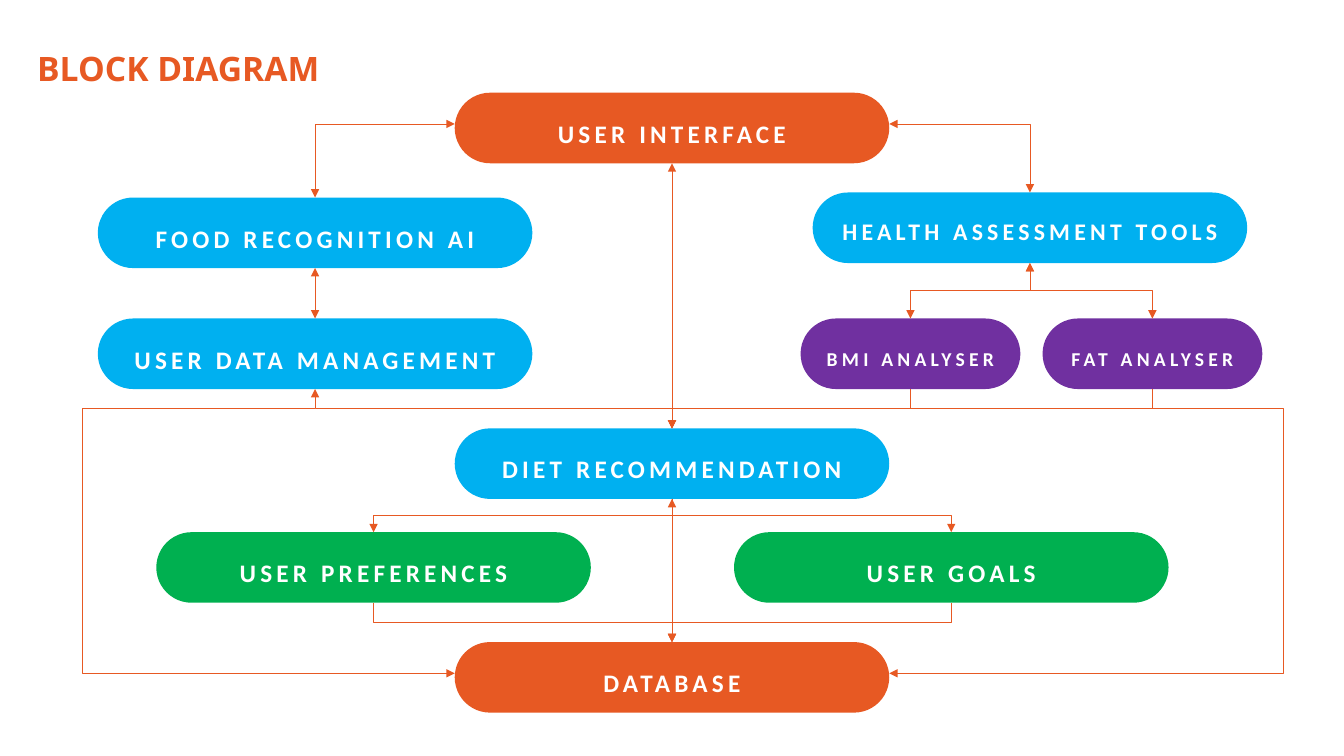
from pptx import Presentation
from pptx import util as u
from pptx.dml.color import RGBColor
from pptx.enum import shapes, text
from pptx.oxml import parse_xml
from pptx.oxml.ns import nsdecls, qn

ORANGE, BLUE, PURPLE, GREEN, WHITE = "E75923", "00B0F0", "7030A0", "00B050", "FFFFFF"
PILL_W, ANALYSER_W, PILL_H = 431, 218, 70
BUS_Y, BUS_LEFT, BUS_RIGHT = 405, 82, 1273
TOP, BOTTOM = 0, 2


def px(n):
    """Turn a length of 1/100 inch into EMU."""
    return u.Emu(round(n * 9144))


def rgb(value):
    """Turn a hex string into a colour."""
    return RGBColor.from_string(value)


def write(tf, words, font, size, colour):
    """Write one bold line and return its paragraph and run."""
    p = tf.paragraphs[0]
    r = p.add_run()
    r.text = words
    p.font.name, p.font.size, p.font.bold = font, u.Pt(size), True
    p.font.color.rgb = rgb(colour)
    return p, r


def add_title(s, x, y, w, h):
    """Place the slide heading."""
    tf = s.shapes.add_textbox(px(x), px(y), px(w), px(h)).text_frame
    tf.word_wrap = True
    write(tf, "BLOCK DIAGRAM", "Noto Sans", 24, ORANGE)


def add_pill(s, words, x, y, colour, w=PILL_W, size=18, drop=0):
    """Place a rounded block with a spaced label."""
    sp = s.shapes.add_shape(shapes.MSO_SHAPE.ROUNDED_RECTANGLE, px(x), px(y), px(w), px(PILL_H))
    sp.adjustments[0] = 0.5
    sp.shadow.inherit = False
    sp.fill.solid()
    sp.fill.fore_color.rgb = rgb(colour)
    sp.line.fill.background()
    tf = sp.text_frame
    tf.word_wrap = True
    tf.vertical_anchor = text.MSO_ANCHOR.TOP
    tf.margin_left = tf.margin_right = tf.margin_bottom = 0
    tf.margin_top = px(drop)
    p, r = write(tf, words, "Calibri", size, WHITE)
    p.alignment, p.line_spacing = text.PP_ALIGN.CENTER, 1.5
    r._r.get_or_add_rPr().set("spc", "300")
    return sp


def middle(sp, side):
    """Give the middle of the top or bottom side in px."""
    y = sp.top if side == TOP else sp.top + sp.height
    return (sp.left + sp.width / 2) / px(1), y / px(1)


def add_line(s, kind, a, b, both):
    """Draw a thin connector with an arrowhead at its end or at both ends."""
    c = s.shapes.add_connector(kind, px(a[0]), px(a[1]), px(b[0]), px(b[1]))
    c.line.color.rgb, c.line.width = rgb(ORANGE), u.Pt(0.5)
    for end in ("headEnd", "tailEnd") if both else ("tailEnd",):
        c.line._get_or_add_ln().append(parse_xml(f'<a:{end} {nsdecls("a")} type="triangle"/>'))
    c._element.spPr.append(parse_xml(f'<a:effectLst {nsdecls("a")}/>'))
    return c


def add_straight(s, upper, lower):
    """Join the bottom of one block to the top of another."""
    c = add_line(s, shapes.MSO_CONNECTOR.STRAIGHT, middle(upper, BOTTOM), middle(lower, TOP), True)
    c.begin_connect(upper, BOTTOM)
    c.end_connect(lower, TOP)


def add_corner(s, a, b):
    """Draw a two-headed arrow that runs across, then down."""
    c = add_line(s, shapes.MSO_CONNECTOR.ELBOW, a, b, True)
    c._element.spPr.find(qn("a:prstGeom")).set("prst", "bentConnector2")


def add_step(s, a, b, both=False):
    """Draw an arrow that runs down, across and down again."""
    (x1, y1), (x2, y2) = a, b
    cx, cy, half_w, half_h = (x1 + x2) / 2, (y1 + y2) / 2, (y2 - y1) / 2, (x1 - x2) / 2
    start, stop = (cx - half_w, cy - half_h), (cx + half_w, cy + half_h)
    c = add_line(s, shapes.MSO_CONNECTOR.ELBOW, start, stop, both)
    c._element.spPr.find(qn("a:xfrm")).set("rot", "5400000")


def add_loop(s, a, b, turn_x):
    """Draw an arrow that runs out to turn_x, down and back."""
    c = add_line(s, shapes.MSO_CONNECTOR.ELBOW, a, b, False)
    share = round((turn_x - a[0]) / (b[0] - a[0]) * 100000)
    guides = c._element.spPr.find(qn("a:prstGeom")).get_or_add_avLst()
    guides.append(parse_xml(f'<a:gd {nsdecls("a")} name="adj1" fmla="val {share}"/>'))


def add_diagram(s, x, y):
    """Place the blocks and their arrows from the given corner."""
    centre = x + 354
    ui = add_pill(s, "USER INTERFACE", centre, y, ORANGE)
    food = add_pill(s, "FOOD RECOGNITION AI", x, y + 104, BLUE)
    health = add_pill(s, "HEALTH ASSESSMENT TOOLS", x + 709, y + 99, BLUE, size=17)
    data = add_pill(s, "USER DATA MANAGEMENT", x, y + 224, BLUE)
    bmi, fat = [add_pill(s, f"{name} ANALYSER", x + 697 + 240 * i, y + 224, PURPLE, ANALYSER_W, 14, 6)
                for i, name in enumerate(("BMI", "FAT"))]
    diet = add_pill(s, "DIET RECOMMENDATION", centre, y + 333, BLUE)
    inputs = [add_pill(s, f"USER {name}", x + 58 + 573 * i, y + 436, GREEN)
              for i, name in enumerate(("PREFERENCES", "GOALS"))]
    database = add_pill(s, "DATABASE", centre, y + 545, ORANGE)

    for upper, lower in ((food, data), (ui, diet), (diet, database)):
        add_straight(s, upper, lower)
    add_corner(s, (centre, y + 31), middle(food, TOP))
    add_corner(s, (centre + PILL_W, y + 31), middle(health, TOP))
    for analyser in (bmi, fat):
        add_step(s, middle(health, BOTTOM), middle(analyser, TOP), True)
        add_step(s, middle(analyser, BOTTOM), middle(diet, TOP))
    add_step(s, middle(data, BOTTOM), middle(diet, TOP), True)
    for block in inputs:
        add_step(s, middle(diet, BOTTOM), middle(block, TOP))
        add_step(s, middle(block, BOTTOM), middle(database, TOP))
    add_loop(s, (middle(data, BOTTOM)[0], BUS_Y), (centre, y + 576), BUS_LEFT)
    add_loop(s, (middle(fat, BOTTOM)[0], BUS_Y), (centre + PILL_W, y + 576), BUS_RIGHT)


def main():
    """Build the slide and save it."""
    prs = Presentation()
    prs.slide_width, prs.slide_height = px(1333), px(750)
    s = prs.slides.add_slide(prs.slide_layouts[6])
    add_diagram(s, 97, 92)
    add_title(s, 27, 43, 348, 50)
    prs.save("out.pptx")


if __name__ == "__main__":
    main()
